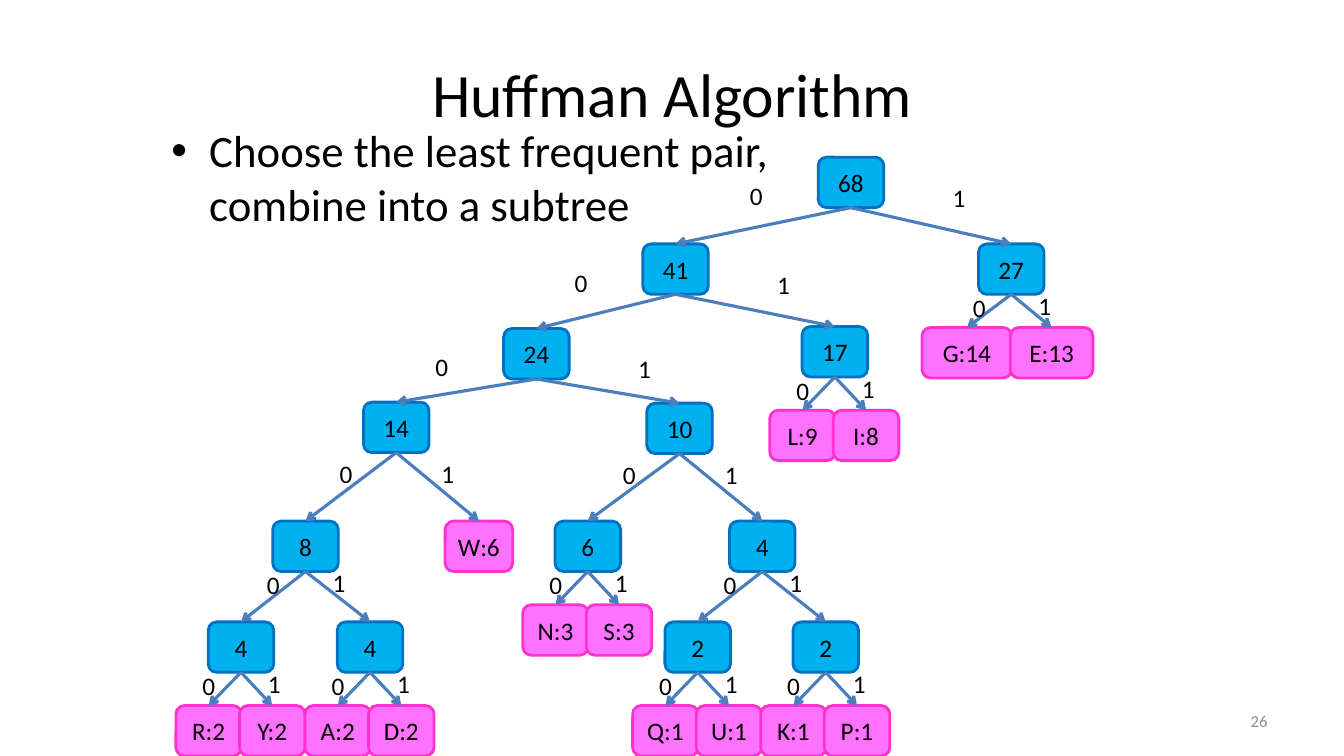
from lxml.etree import SubElement
from pptx import Presentation
from pptx.dml.color import RGBColor
from pptx.enum.shapes import MSO_CONNECTOR, MSO_SHAPE
from pptx.enum.text import MSO_ANCHOR, MSO_AUTO_SIZE, PP_ALIGN
from pptx.oxml.ns import qn
from pptx.util import Inches, Pt

BLACK = RGBColor(0x00, 0x00, 0x00)
GREY = RGBColor(0x8C, 0x8C, 0x8C)
BLUE = RGBColor(0x00, 0xB0, 0xF0)
NAVY = RGBColor(0x00, 0x70, 0xC0)
PINK = RGBColor(0xFF, 0x71, 0xFF)
ROSE = RGBColor(0xFF, 0x33, 0xCC)
STEEL = RGBColor(0x4B, 0x7E, 0xBC)

HIGH = 0.5
WIDE = {"G:14": 0.89, "E:13": 0.82, "W:6": 0.67}


def leaf(text, x, y):
    return text, x, y, ()


def pair(text, x, y, left, right, near=0.32, far=0.31):
    return text, x, y, (leaf(left, x - near, y + 0.83), leaf(right, x + far, y + 0.83))


EIGHT = ("8", 3.03, 5.17, (
    pair("4", 2.39, 6.17, "R:2", "Y:2"),
    pair("4", 3.67, 6.17, "A:2", "D:2")))
FOUR = ("4", 7.56, 5.17, (
    pair("2", 6.92, 6.17, "Q:1", "U:1"),
    pair("2", 8.19, 6.17, "K:1", "P:1")))
TEN = ("10", 6.74, 4, (pair("6", 5.83, 5.17, "N:3", "S:3"), FOUR))
LEFT = ("14", 3.93, 3.99, (EIGHT, leaf("W:6", 4.75, 5.17)))
MAIN = ("41", 6.7, 2.42, (
    ("24", 5.32, 3.26, (LEFT, TEN)),
    pair("17", 8.28, 3.24, "L:9", "I:8")))
TREE = ("68", 8.44, 1.56, (
    MAIN,
    pair("27", 10.03, 2.42, "G:14", "E:13", 0.44, 0.4)))


class Deck:
    """Draws a Huffman tree slide in one style."""

    def __init__(self):
        self.show = Presentation()
        self.show.slide_width = Inches(13.33)
        self.show.slide_height = Inches(7.5)
        self.slide = self.show.slides.add_slide(self.show.slide_layouts[1])
        self.shapes = self.slide.shapes

    def letter(self, frame, text, size=18, color=BLACK, align=None):
        para = frame.paragraphs[0]
        para.alignment = align
        run = para.add_run()
        run.text = text
        run.font.name = "Calibri"
        run.font.size = Pt(size)
        run.font.color.rgb = color
        return para

    def place(self, item, x, y, wide, high):
        item.left, item.top = Inches(x), Inches(y)
        item.width, item.height = Inches(wide), Inches(high)

    def title(self, text):
        item = self.shapes.title
        self.place(item, 0.67, 0.3, 12, 1.25)
        item.text_frame.vertical_anchor = MSO_ANCHOR.MIDDLE
        self.letter(item.text_frame, text, 44, align=PP_ALIGN.CENTER)

    def body(self, text):
        item = self.slide.placeholders[1]
        self.place(item, 1.6, 1.17, 7.4, 1.25)
        item.text_frame.auto_size = MSO_AUTO_SIZE.NONE
        para = self.letter(item.text_frame, text, 32)
        para.space_before = Pt(0)

    def number(self, text):
        box = self.shapes.add_textbox(Inches(9.56), Inches(6.95), Inches(3.11), Inches(0.4))
        box.text_frame.word_wrap = True
        box.text_frame.vertical_anchor = MSO_ANCHOR.MIDDLE
        self.letter(box.text_frame, text, 12, GREY, PP_ALIGN.RIGHT)

    def label(self, text, x, y):
        box = self.shapes.add_textbox(Inches(x), Inches(y), Inches(0.33), Inches(0.4))
        box.text_frame.word_wrap = False
        self.letter(box.text_frame, text)

    def node(self, text, x, y, fill, edge):
        wide = WIDE.get(text, 0.65)
        box = self.shapes.add_shape(
            MSO_SHAPE.ROUNDED_RECTANGLE,
            Inches(x - wide / 2), Inches(y), Inches(wide), Inches(HIGH))
        box.shadow.inherit = False
        box.fill.solid()
        box.fill.fore_color.rgb = fill
        box.line.color.rgb = edge
        box.line.width = Pt(2)
        box.text_frame.word_wrap = False
        box.text_frame.vertical_anchor = MSO_ANCHOR.MIDDLE
        self.letter(box.text_frame, text, align=PP_ALIGN.CENTER)

    def arrow(self, x, y, to_x, to_y):
        item = self.shapes.add_connector(
            MSO_CONNECTOR.STRAIGHT, Inches(x), Inches(y), Inches(to_x), Inches(to_y))
        item.line.color.rgb = STEEL
        item.line.width = Pt(2.25)
        props = item._element.spPr
        SubElement(props.find(qn("a:ln")), qn("a:tailEnd"), type="arrow")
        SubElement(props, qn("a:effectLst"))

    def tree(self, text, x, y, kids):
        for kid in kids:
            self.tree(*kid)
        if not kids:
            self.node(text, x, y, PINK, ROSE)
            return
        self.node(text, x, y, BLUE, NAVY)
        base = y + HIGH
        for kid in kids:
            self.arrow(x, base, kid[1], kid[2])
        span = kids[1][1] - kids[0][1]
        if span < 1.5:
            marks = (-0.48, -0.07), (0.17, -0.09)
        elif span < 2:
            marks = (-0.66, 0.01), (0.35, 0.01)
        else:
            marks = (-1.1, -0.32), (0.91, -0.3)
        for bit, (dx, dy) in zip("01", marks):
            self.label(bit, x + dx, base + dy)


def main():
    deck = Deck()
    deck.title("Huffman Algorithm")
    deck.body("Choose the least frequent pair, combine into a subtree")
    deck.number("26")
    deck.tree(*TREE)
    deck.show.save("out.pptx")


if __name__ == "__main__":
    main()
